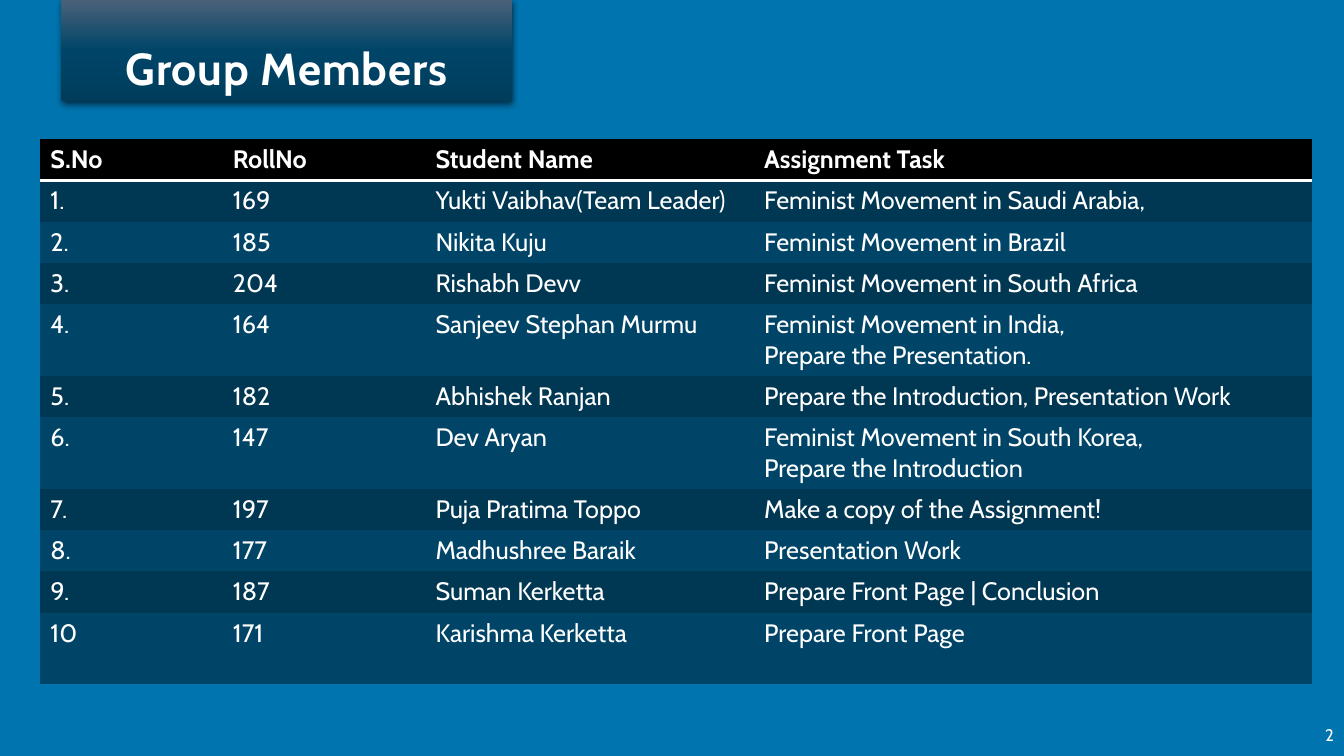
from dataclasses import dataclass

from pptx import Presentation
from pptx.dml.color import RGBColor
from pptx.enum.text import MSO_ANCHOR, MSO_AUTO_SIZE, PP_ALIGN
from pptx.oxml import parse_xml
from pptx.oxml.ns import nsdecls, qn
from pptx.util import Inches, Pt

TOP, MIDDLE = MSO_ANCHOR.TOP, MSO_ANCHOR.MIDDLE
LEFT, CENTER, RIGHT = PP_ALIGN.LEFT, PP_ALIGN.CENTER, PP_ALIGN.RIGHT
NO_AUTOFIT = MSO_AUTO_SIZE.NONE
NO_GRID_STYLE = "{2D5ABB26-0587-4C30-8999-92F81FD0307C}"


@dataclass(frozen=True)
class Theme:
    font: str = "Cabin"
    background: str = "0074AF"
    text: str = "FFFFFF"
    header: str = "000000"
    bands: tuple = ("003753", "004568")
    title_stops: tuple = ((0, "4B617A"), (50, "004568"), (100, "003D5C"))
    title_size: int = 32
    table_size: int = 18
    number_size: int = 12


theme = Theme()


def write(frame, text, size, bold=False, align=LEFT):
    frame.text = text
    for para in frame.paragraphs:
        para.alignment = align
        for span in para.runs:
            style = {"name": theme.font, "size": Pt(size), "bold": bold}
            for name, value in style.items():
                setattr(span.font, name, value)
            span.font.color.rgb = RGBColor.from_string(theme.text)


def place(box, left, top, width, height):
    sides = {"left": left, "top": top, "width": width, "height": height}
    for name, value in sides.items():
        setattr(box, name, Inches(value))


deck = Presentation()
deck.slide_width, deck.slide_height = Inches(13.33), Inches(7.5)
page = deck.slides.add_slide(deck.slide_layouts[5])
page.background.fill.solid()
page.background.fill.fore_color.rgb = RGBColor.from_string(theme.background)

title = page.shapes.title
place(title, 0.61, 0, 4.47, 1)
frame = title.text_frame
write(frame, "Group Members", theme.title_size, True, CENTER)
title_format = {
    "margin_left": Inches(0.16), "margin_right": Inches(0.16),
    "margin_top": Inches(0.46), "margin_bottom": Inches(0.05),
    "vertical_anchor": TOP, "word_wrap": True, "auto_size": NO_AUTOFIT,
}
for name, value in title_format.items():
    setattr(frame, name, value)
frame.paragraphs[0].line_spacing = 0.9
frame.paragraphs[0].runs[0].font._element.set("spc", "60")
stops = "".join(
    f'<a:gs pos="{place_percent * 1000}"><a:srgbClr val="{color}"/></a:gs>'
    for place_percent, color in theme.title_stops
)
title_paint = (
    '<a:prstGeom {ns} prst="rect"><a:avLst/></a:prstGeom>',
    '<a:gradFill {ns} rotWithShape="1"><a:gsLst>' + stops
    + '</a:gsLst><a:lin ang="5400000" scaled="0"/></a:gradFill>',
    f'<a:effectLst {{ns}}><a:outerShdw blurRad="{Pt(4.5)}" dist="{Pt(1.5)}" dir="5400000" '
    'algn="ctr" rotWithShape="0"><a:srgbClr val="000000"><a:alpha val="63000"/></a:srgbClr>'
    '</a:outerShdw></a:effectLst>',
)
for markup in title_paint:
    title._element.spPr.append(parse_xml(markup.format(ns=nsdecls("a"))))

number = page.shapes.add_textbox(Inches(12.76), Inches(7.09), Inches(0.57), Inches(0.4))
write(number.text_frame, "2", theme.number_size, align=RIGHT)
number.text_frame.vertical_anchor = MIDDLE
number.text_frame.word_wrap = False

members = [
    ("S.No", "RollNo", "Student Name", "Assignment Task"),
    ("1.", "169", "Yukti Vaibhav(Team Leader)", "Feminist Movement in Saudi Arabia,"),
    ("2.", "185", "Nikita Kuju", "Feminist Movement in Brazil"),
    ("3.", "204", "Rishabh Devv", "Feminist Movement in South Africa"),
    ("4.", "164", "Sanjeev Stephan Murmu", "Feminist Movement in India,\nPrepare the Presentation."),
    ("5.", "182", "Abhishek Ranjan", "Prepare the Introduction, Presentation Work"),
    ("6.", "147", "Dev Aryan", "Feminist Movement in South Korea,\nPrepare the Introduction"),
    ("7.", "197", "Puja Pratima Toppo", "Make a copy of the Assignment!"),
    ("8.", "177", "Madhushree Baraik", "Presentation Work"),
    ("9.", "187", "Suman Kerketta", "Prepare Front Page | Conclusion"),
    ("10", "171", "Karishma Kerketta", "Prepare Front Page"),
]
widths = (1.81, 2.01, 3.26, 5.53)
row_height, tall_height = 0.41, 0.71
last = len(members) - 1

table = page.shapes.add_table(
    len(members), len(widths), Inches(0.4), Inches(1.38), Inches(sum(widths)), Inches(5.39)
).table
table.horz_banding = False
table._tbl.tblPr.find(qn("a:tableStyleId")).text = NO_GRID_STYLE
for column, width in zip(table.columns, widths):
    column.width = Inches(width)
for index, member in enumerate(members):
    tall = index == last or "\n" in member[-1]
    table.rows[index].height = Inches(tall_height if tall else row_height)
    is_header = index == 0
    color = theme.header if is_header else theme.bands[(index - 1) % 2]
    for cell, text in zip(table.rows[index].cells, member):
        write(cell.text_frame, text, theme.table_size, is_header)
        cell.fill.solid()
        cell.fill.fore_color.rgb = RGBColor.from_string(color)
        if is_header:
            cell._tc.tcPr.insert(0, parse_xml(
                f'<a:lnB {nsdecls("a")} w="{Pt(2)}"><a:solidFill>'
                f'<a:srgbClr val="{theme.text}"/></a:solidFill></a:lnB>'
            ))

deck.save("out.pptx")
